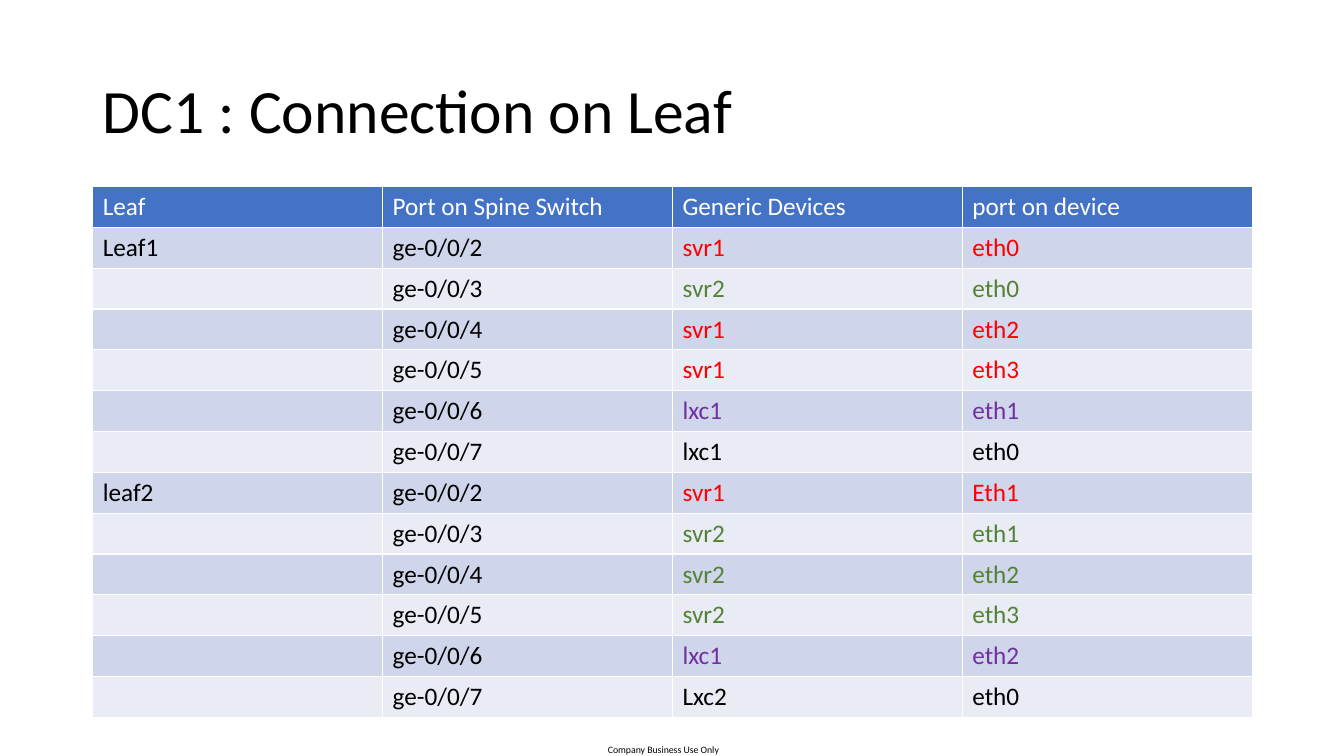
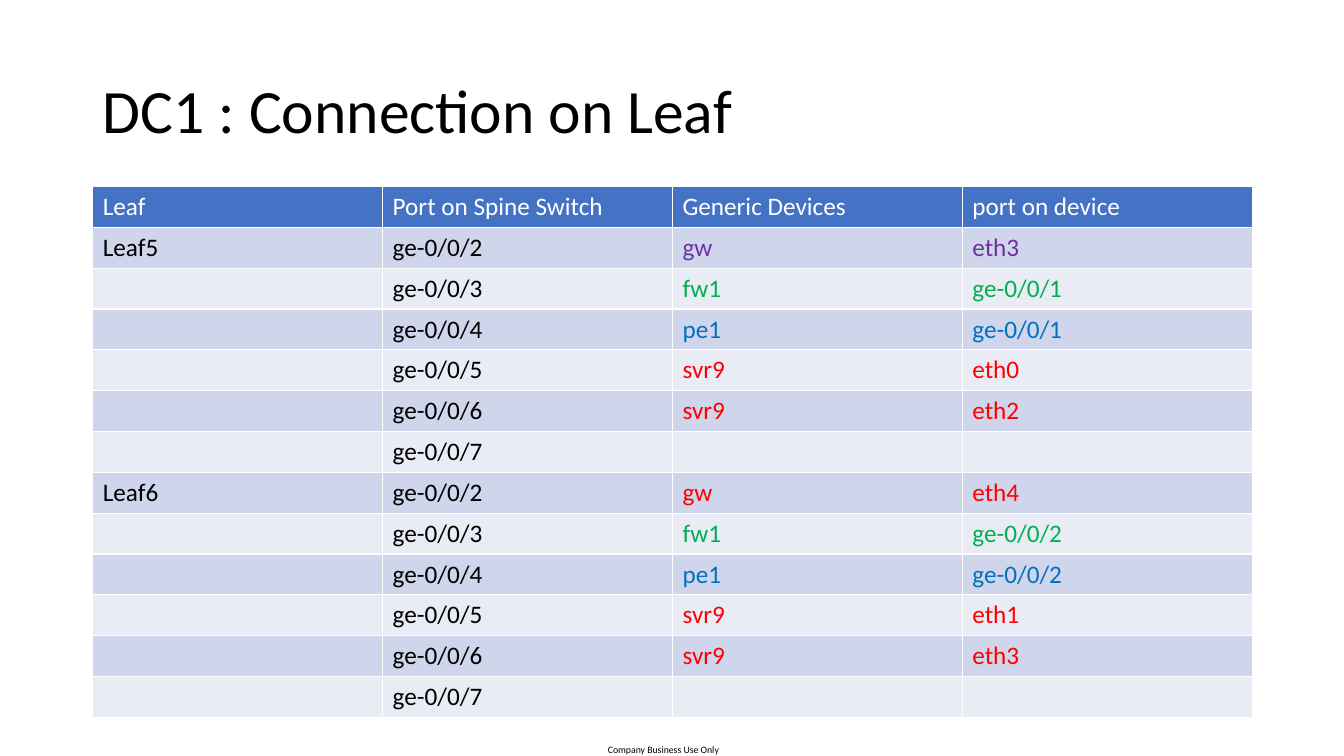
import pptx
import pptx.util
import pptx.dml.color
import pptx.enum.text

RGBColor = pptx.dml.color.RGBColor
Inches = pptx.util.Inches

# Shared style
FONT = "Calibri"
WHITE = RGBColor(0xFF, 0xFF, 0xFF)
BLACK = RGBColor(0x00, 0x00, 0x00)
HEADER_BLUE = RGBColor(0x44, 0x72, 0xC4)
BAND_FILLS = (RGBColor(0xCF, 0xD5, 0xEA), RGBColor(0xE9, 0xEB, 0xF5))
RED = RGBColor(0xFF, 0x00, 0x00)
OLIVE = RGBColor(0x54, 0x82, 0x35)
GREEN = RGBColor(0x00, 0xB0, 0x50)
BLUE = RGBColor(0x00, 0x70, 0xC0)
PURPLE = RGBColor(0x70, 0x30, 0xA0)

TITLE = "DC1 : Connection on Leaf"
CLASSIFICATION = "Company Business Use Only"
HEADINGS = ("Leaf", "Port on Spine Switch", "Generic Devices", "port on device")
FIRST_PORT = 2

# Grid
SLIDE_WIDTH, SLIDE_HEIGHT = Inches(13.33), Inches(7.5)
MARGIN = Inches(0.92)
CONTENT_WIDTH = Inches(11.5)
TITLE_TOP, TITLE_HEIGHT = Inches(0.4), Inches(1.45)
TABLE_TOP, TABLE_HEIGHT = TITLE_TOP + TITLE_HEIGHT, Inches(5.27)
FOOTER_LEFT, FOOTER_WIDTH = Inches(5.83), Inches(1.5)
FOOTER_HEIGHT = Inches(0.12)

# Each slide: leaf name -> (device, device port, colour) for successive ports
CONNECTIONS = (
    {
        "Leaf1": (
            ("svr1", "eth0", RED),
            ("svr2", "eth0", OLIVE),
            ("svr1", "eth2", RED),
            ("svr1", "eth3", RED),
            ("lxc1", "eth1", PURPLE),
            ("lxc1", "eth0", BLACK),
        ),
        "leaf2": (
            ("svr1", "Eth1", RED),
            ("svr2", "eth1", OLIVE),
            ("svr2", "eth2", OLIVE),
            ("svr2", "eth3", OLIVE),
            ("lxc1", "eth2", PURPLE),
            ("Lxc2", "eth0", BLACK),
        ),
    },
    {
        "Leaf5": (
            ("gw", "eth3", PURPLE),
            ("fw1", "ge-0/0/1", GREEN),
            ("pe1", "ge-0/0/1", BLUE),
            ("svr9", "eth0", RED),
            ("svr9", "eth2", RED),
            ("", "", BLACK),
        ),
        "Leaf6": (
            ("gw", "eth4", RED),
            ("fw1", "ge-0/0/2", GREEN),
            ("pe1", "ge-0/0/2", BLUE),
            ("svr9", "eth1", RED),
            ("svr9", "eth3", RED),
            ("", "", BLACK),
        ),
    },
)


def style_text(paragraph, size, color):
    paragraph.font.name = FONT
    paragraph.font.size = pptx.util.Pt(size)
    paragraph.font.bold = False
    for run in paragraph.runs:
        run.font.color.rgb = color


def fill_row(table, row, texts, colors, background):
    for column, (text, color) in enumerate(zip(texts, colors)):
        cell = table.cell(row, column)
        cell.text_frame.text = text
        cell.fill.solid()
        cell.fill.fore_color.rgb = background
        style_text(cell.text_frame.paragraphs[0], 18, color)


presentation = pptx.Presentation()
presentation.slide_width, presentation.slide_height = SLIDE_WIDTH, SLIDE_HEIGHT

# Title position, inherited by every slide
title_only = presentation.slide_layouts.get_by_name("Title Only")
layout_title = title_only.placeholders[0]
layout_title.left, layout_title.top = MARGIN, TITLE_TOP
layout_title.width, layout_title.height = CONTENT_WIDTH, TITLE_HEIGHT

for leaves in CONNECTIONS:
    slide = presentation.slides.add_slide(title_only)

    # Footer, resting on the bottom edge
    footer = slide.shapes.add_textbox(
        FOOTER_LEFT, SLIDE_HEIGHT - FOOTER_HEIGHT, FOOTER_WIDTH, FOOTER_HEIGHT
    ).text_frame
    footer.word_wrap = True
    footer.margin_left = footer.margin_right = 0
    footer.margin_top = footer.margin_bottom = 0
    footer.text = CLASSIFICATION
    footer.paragraphs[0].alignment = pptx.enum.text.PP_ALIGN.CENTER
    style_text(footer.paragraphs[0], 7, BLACK)

    # Title
    heading = slide.shapes.title.text_frame
    heading.text = TITLE
    heading.vertical_anchor = pptx.enum.text.MSO_ANCHOR.MIDDLE
    heading.paragraphs[0].alignment = pptx.enum.text.PP_ALIGN.LEFT
    heading.paragraphs[0].line_spacing = 0.9
    style_text(heading.paragraphs[0], 44, BLACK)

    # Connection table
    row_count = 1 + sum(len(links) for links in leaves.values())
    table = slide.shapes.add_table(
        row_count, len(HEADINGS), MARGIN, TABLE_TOP, CONTENT_WIDTH, TABLE_HEIGHT
    ).table
    fill_row(table, 0, HEADINGS, [WHITE] * len(HEADINGS), HEADER_BLUE)
    row = 1
    for leaf, links in leaves.items():
        for index, (device, device_port, color) in enumerate(links):
            texts = (
                leaf if index == 0 else "",
                f"ge-0/0/{FIRST_PORT + index}",
                device,
                device_port,
            )
            background = BAND_FILLS[(row - 1) % 2]
            fill_row(table, row, texts, (BLACK, BLACK, color, color), background)
            row += 1

presentation.save("out.pptx")
